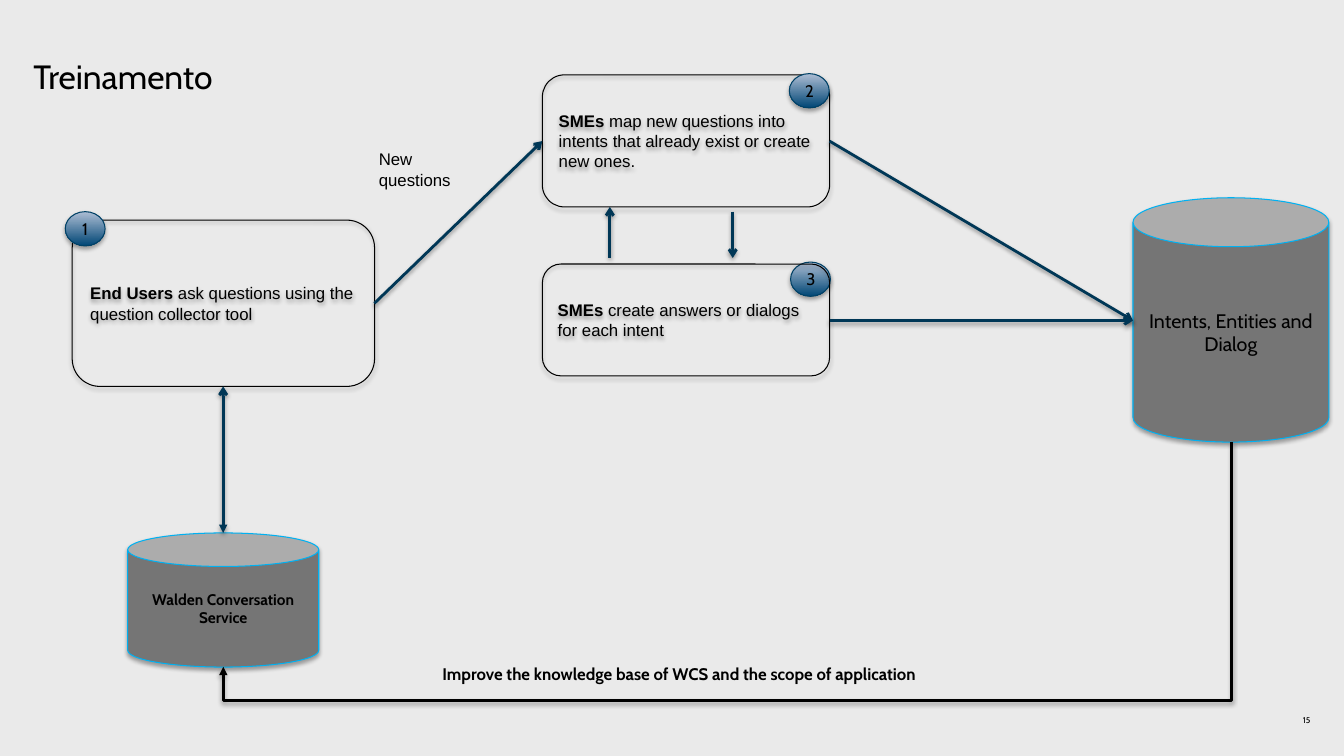
import dataclasses
import typing

import lxml.etree
import pptx
import pptx.dml.color
import pptx.enum.shapes
import pptx.enum.text
import pptx.oxml.ns
import pptx.util

Pt = pptx.util.Pt
Kind = pptx.enum.shapes.MSO_SHAPE
Link = pptx.enum.shapes.MSO_CONNECTOR
Side = pptx.enum.text.PP_ALIGN
Hold = pptx.enum.text.MSO_ANCHOR
qn = pptx.oxml.ns.qn

INK = "000000"
NAVY = "003756"


@dataclasses.dataclass
class Run:
    text: str
    size: float = 12
    font: str = "Arial"
    bold: bool = False


@dataclasses.dataclass
class Node:
    kind: typing.Any
    area: tuple[float, float, float, float]
    edge: str
    runs: list[Run]
    fill: tuple[str, ...] = ()
    align: typing.Any = Side.CENTER


@dataclasses.dataclass
class Arrow:
    start: tuple[float, float]
    end: tuple[float, float]
    head: str = ""


@dataclasses.dataclass
class Label:
    area: tuple[float, float, float, float]
    lines: list[Run]
    inset: float | None = None
    align: typing.Any = Side.LEFT
    hold: typing.Any = Hold.TOP


def shade(code: str) -> pptx.dml.color.RGBColor:
    return pptx.dml.color.RGBColor.from_string(code)


def points(*nums: float) -> list[int]:
    return [Pt(num) for num in nums]


def write(para: typing.Any, runs: list[Run], align: typing.Any) -> None:
    para.alignment = align
    for item in runs:
        run = para.add_run()
        run.text = item.text
        run.font.size = Pt(item.size)
        run.font.name = item.font
        run.font.bold = item.bold
        run.font.color.rgb = shade(INK)


def cast(shape: typing.Any, depth: float, alpha: int) -> None:
    props = shape._element.spPr
    group = props.find(qn("a:effectLst"))
    if group is None:
        group = lxml.etree.SubElement(props, qn("a:effectLst"))
    outer = lxml.etree.SubElement(
        group, qn("a:outerShdw"), blurRad=str(Pt(3.1)), dist=str(Pt(depth)),
        dir="5400000", rotWithShape="0")
    tone = lxml.etree.SubElement(outer, qn("a:srgbClr"), val=INK)
    lxml.etree.SubElement(tone, qn("a:alpha"), val=str(alpha * 1000))


def draw_node(slide: typing.Any, node: Node) -> None:
    shape = slide.shapes.add_shape(node.kind, *points(*node.area))
    shape.shadow.inherit = False
    if len(node.fill) == 2:
        shape.fill.gradient()
        shape.fill.gradient_angle = 270
        for stop, code in zip(shape.fill.gradient_stops, node.fill):
            stop.color.rgb = shade(code)
    elif node.fill:
        shape.fill.solid()
        shape.fill.fore_color.rgb = shade(node.fill[0])
    else:
        shape.fill.background()
    shape.line.color.rgb = shade(node.edge)
    shape.line.width = Pt(0.75)
    cast(shape, 1.8, 35)
    frame = shape.text_frame
    frame.word_wrap = True
    frame.vertical_anchor = Hold.MIDDLE
    write(frame.paragraphs[0], node.runs, node.align)


def style_line(line: typing.Any, code: str, head: str, tail: str) -> None:
    line.line.color.rgb = shade(code)
    line.line.width = Pt(2)
    stroke = line.line._get_or_add_ln()
    for tag, tip in (("a:headEnd", head), ("a:tailEnd", tail)):
        if tip:
            lxml.etree.SubElement(stroke, qn(tag), type=tip)
    cast(line, 1.6, 38)


def draw_arrow(slide: typing.Any, arrow: Arrow) -> None:
    line = slide.shapes.add_connector(
        Link.STRAIGHT, *points(*arrow.start, *arrow.end))
    style_line(line, NAVY, arrow.head, "arrow")


def draw_loop(slide: typing.Any) -> None:
    line = slide.shapes.add_connector(
        Link.ELBOW, *points(439.2, 36, 599.8, 756))
    props = line._element.spPr
    props.find(qn("a:xfrm")).set("rot", "5400000")
    guides = props.find(qn("a:prstGeom")).find(qn("a:avLst"))
    lxml.etree.SubElement(guides, qn("a:gd"), name="adj1", fmla="val 114900")
    style_line(line, INK, "", "triangle")


def draw_label(slide: typing.Any, label: Label) -> None:
    frame = slide.shapes.add_textbox(*points(*label.area)).text_frame
    frame.word_wrap = True
    frame.vertical_anchor = label.hold
    if label.inset is not None:
        set_inset(frame, label.inset)
    for place, item in enumerate(label.lines):
        para = frame.add_paragraph() if place else frame.paragraphs[0]
        write(para, [item], label.align)


def set_inset(frame: typing.Any, inset: float) -> None:
    frame.margin_left = frame.margin_right = Pt(inset)
    frame.margin_top = frame.margin_bottom = Pt(inset)


def draw_title(slide: typing.Any, text: str) -> None:
    title = slide.shapes.title
    title.left, title.top, title.width, title.height = points(
        23.8, 43.2, 671.8, 67)
    frame = title.text_frame
    set_inset(frame, 0)
    frame.vertical_anchor = Hold.TOP
    frame.paragraphs[0].line_spacing = 0.9
    write(frame.paragraphs[0], [Run(text, 24, "Cabin")], Side.LEFT)


def step(area: tuple[float, float, float, float], who: str, task: str) -> Node:
    return Node(Kind.ROUNDED_RECTANGLE, area, INK,
                [Run(who, bold=True), Run(task)], align=Side.LEFT)


def badge(left: float, top: float, mark: str) -> Node:
    return Node(Kind.OVAL, (left, top, 28.5, 24.5), "004166",
                [Run(mark, font="Cabin")], ("AEBED4", "004675"))


def store(area: tuple[float, float, float, float], run: Run) -> Node:
    return Node(Kind.CAN, area, "00B1F2", [run], ("757575",))


NODES = [
    step((51.6, 157.2, 216, 118.8), "End Users ",
         "ask questions using the question collector tool"),
    store((809.3, 141.3, 139.9, 174.5),
          Run("Intents, Entities and Dialog", 14, "Cabin")),
    step((387.4, 53.5, 205.2, 94.3), "SMEs ",
         "map new questions into intents that already exist or create new ones."),
    badge(46.6, 151.2, "1"),
    badge(564.7, 187.2, "3"),
    store((91.2, 380.7, 136.5, 95.8),
          Run("Walden Conversation Service", 11, "Cabin", True)),
    step((387.4, 188.6, 205.2, 79.9), "SMEs ",
         "create answers or dialogs for each intent"),
    badge(563.8, 52.6, "2"),
]

ARROWS = [
    Arrow((267.4, 216.7), (387.4, 100.8)),
    Arrow((592.6, 100.8), (809.3, 229)),
    Arrow((523.4, 151.2), (523.4, 184.3)),
    Arrow((435.6, 184.3), (435.6, 147.8)),
    Arrow((159.4, 380.7), (159.4, 276), "triangle"),
    Arrow((592.6, 229), (809.3, 229)),
]

LABELS = [
    Label((263.5, 103, 90, 48.2), [Run("New"), Run("questions")]),
    Label((308.9, 470.2, 516.2, 28.8),
          [Run("Improve the knowledge base of WCS and the scope of application",
               font="Cabin", bold=True)]),
    Label((720, 506.9, 216, 14.4), [Run("15", 6, "Cabin")], 0,
          Side.RIGHT, Hold.MIDDLE),
]


def main() -> None:
    deck = pptx.Presentation()
    deck.slide_width, deck.slide_height = points(960, 540)
    slide = deck.slides.add_slide(deck.slide_layouts[5])
    slide.background.fill.solid()
    slide.background.fill.fore_color.rgb = shade("EAEAEA")
    draw_title(slide, "Treinamento")
    for node in NODES:
        draw_node(slide, node)
    for arrow in ARROWS:
        draw_arrow(slide, arrow)
    draw_loop(slide)
    for label in LABELS:
        draw_label(slide, label)
    deck.save("out.pptx")


if __name__ == "__main__":
    main()
